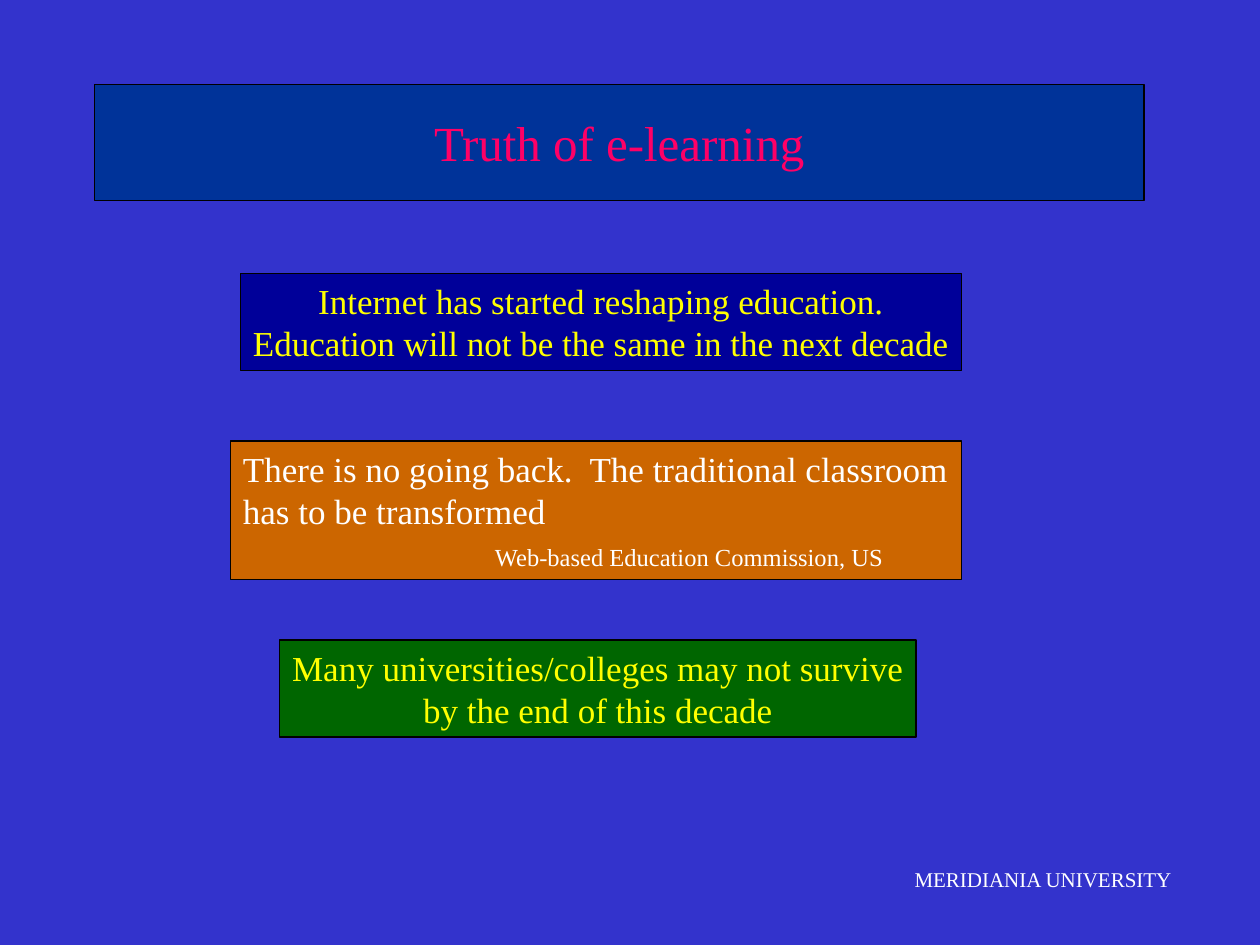
"""Build the slide on the truth of e-learning."""
from lxml.etree import SubElement
from pptx import Presentation
from pptx.dml.color import RGBColor
from pptx.enum.text import MSO_ANCHOR as Anchor, MSO_AUTO_SIZE as AutoSize, PP_ALIGN as Align
from pptx.oxml.ns import qn
from pptx.util import Inches, Pt

FONT = "Times New Roman"
BACKGROUND = RGBColor(0x33, 0x33, 0xCC)
TITLE_FILL = RGBColor(0x00, 0x33, 0x99)
NAVY = RGBColor(0x00, 0x00, 0x99)
ORANGE = RGBColor(0xCC, 0x66, 0x00)
GREEN = RGBColor(0x00, 0x66, 0x00)
PINK = RGBColor(0xFF, 0x00, 0x66)
YELLOW = RGBColor(0xFF, 0xFF, 0x00)
WHITE = RGBColor(0xFF, 0xFF, 0xFF)
BLACK = RGBColor(0x00, 0x00, 0x00)


def frame_box(box, fill):
    """Give a box a solid fill and a thin black outline."""
    box.fill.solid()
    box.fill.fore_color.rgb = fill
    box.line.color.rgb = BLACK
    box.line.width = Pt(0.75)


def format_span(span, size, color):
    """Set the font, size and colour of a run."""
    span.font.name = FONT
    span.font.size = Pt(size)
    span.font.color.rgb = color


def format_text(box, size, color, align):
    """Set the font and alignment of all text in a box."""
    for para in box.text_frame.paragraphs:
        para.alignment = align
        for span in para.runs:
            format_span(span, size, color)


def add_title(page, text):
    """Place and format the title."""
    title = page.shapes.title
    title.left, title.top = Inches(0.75), Inches(0.67)
    title.width, title.height = Inches(8.33), Inches(0.92)
    title.text_frame.text = text
    title.text_frame.vertical_anchor = Anchor.MIDDLE
    frame_box(title, TITLE_FILL)
    format_text(title, 28, PINK, Align.CENTER)


def add_text(page, place, text, size, color, align=Align.LEFT):
    """Add a text box with side margins that leave its lines unbroken."""
    box = page.shapes.add_textbox(*[Inches(length) for length in place])
    frame = box.text_frame
    frame.word_wrap = False
    frame.auto_size = AutoSize.SHAPE_TO_FIT_TEXT
    centered = align == Align.CENTER
    frame.margin_left = Inches(0.05 if centered else 0.1)
    frame.margin_right = Inches(0.05 if centered else 0)
    frame.text = text
    format_text(box, size, color, align)
    return box


def add_statement(page, place, text, fill, color, align):
    """Add a framed statement."""
    box = add_text(page, place, text, 20, color, align)
    frame_box(box, fill)
    return box


def add_credit(box, text):
    """Append a small credit at the second inch tab of the last line."""
    para = box.text_frame.paragraphs[-1]
    stops = SubElement(para._p.get_or_add_pPr(), qn("a:tabLst"))
    for inch in (1, 2):
        SubElement(stops, qn("a:tab"), pos=str(Inches(inch)), algn="l")
    span = para.add_run()
    span.text = text
    format_span(span, 14, WHITE)


def main():
    """Build and save the deck."""
    deck = Presentation()
    deck.slide_width, deck.slide_height = Inches(10), Inches(7.5)
    page = deck.slides.add_slide(deck.slide_layouts[5])
    page.background.fill.solid()
    page.background.fill.fore_color.rgb = BACKGROUND

    add_text(page, (7.16, 6.83, 2.32, 0.3), "MERIDIANIA UNIVERSITY", 12, WHITE)
    add_title(page, "Truth of e-learning")
    add_statement(
        page, (1.91, 2.17, 5.72, 0.77),
        "Internet has started reshaping education.\n"
        "Education will not be the same in the next decade",
        NAVY, YELLOW, Align.CENTER)
    quote = add_statement(
        page, (1.83, 3.5, 5.8, 1.1),
        "There is no going back.  The traditional classroom\n"
        "has to be transformed\v\t\t",
        ORANGE, WHITE, Align.LEFT)
    add_credit(quote, "Web-based Education Commission, US")
    add_statement(
        page, (2.22, 5.08, 5.05, 0.77),
        "Many universities/colleges may not survive\n"
        "by the end of this decade",
        GREEN, YELLOW, Align.CENTER)
    deck.save("out.pptx")


if __name__ == "__main__":
    main()
